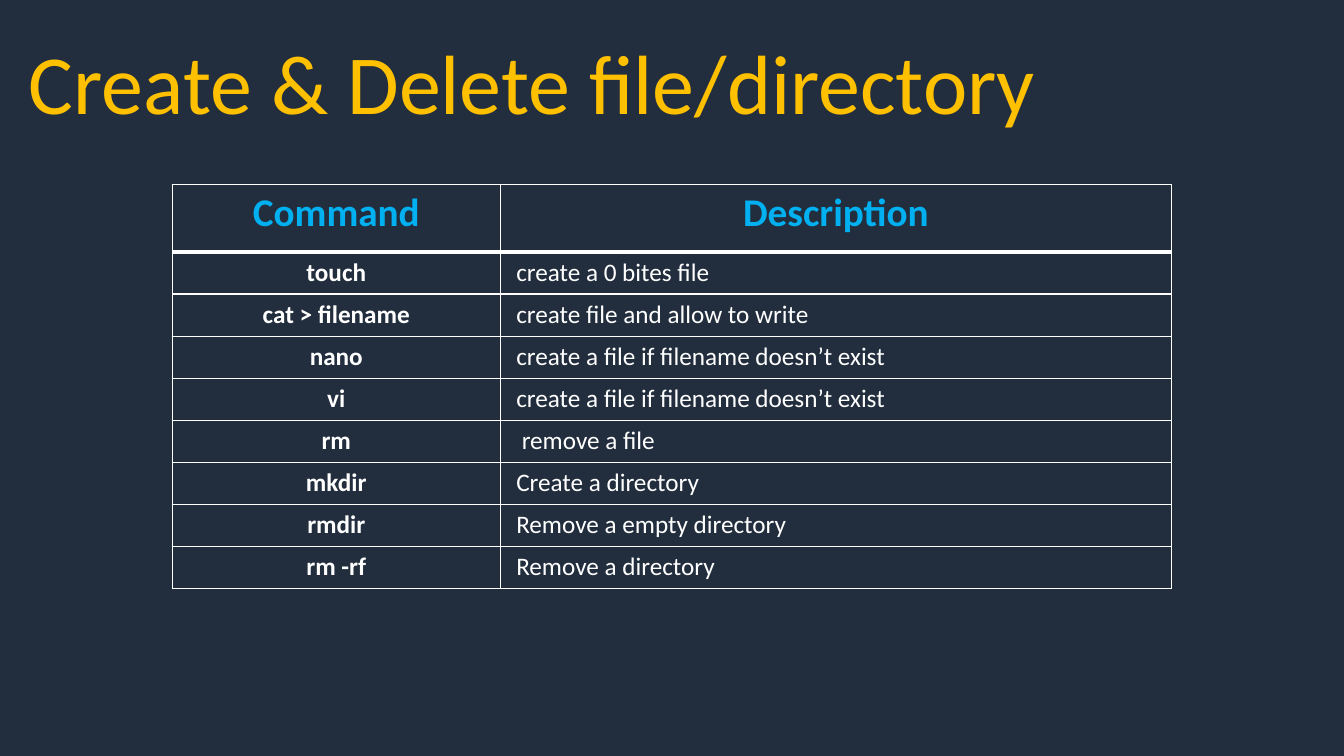
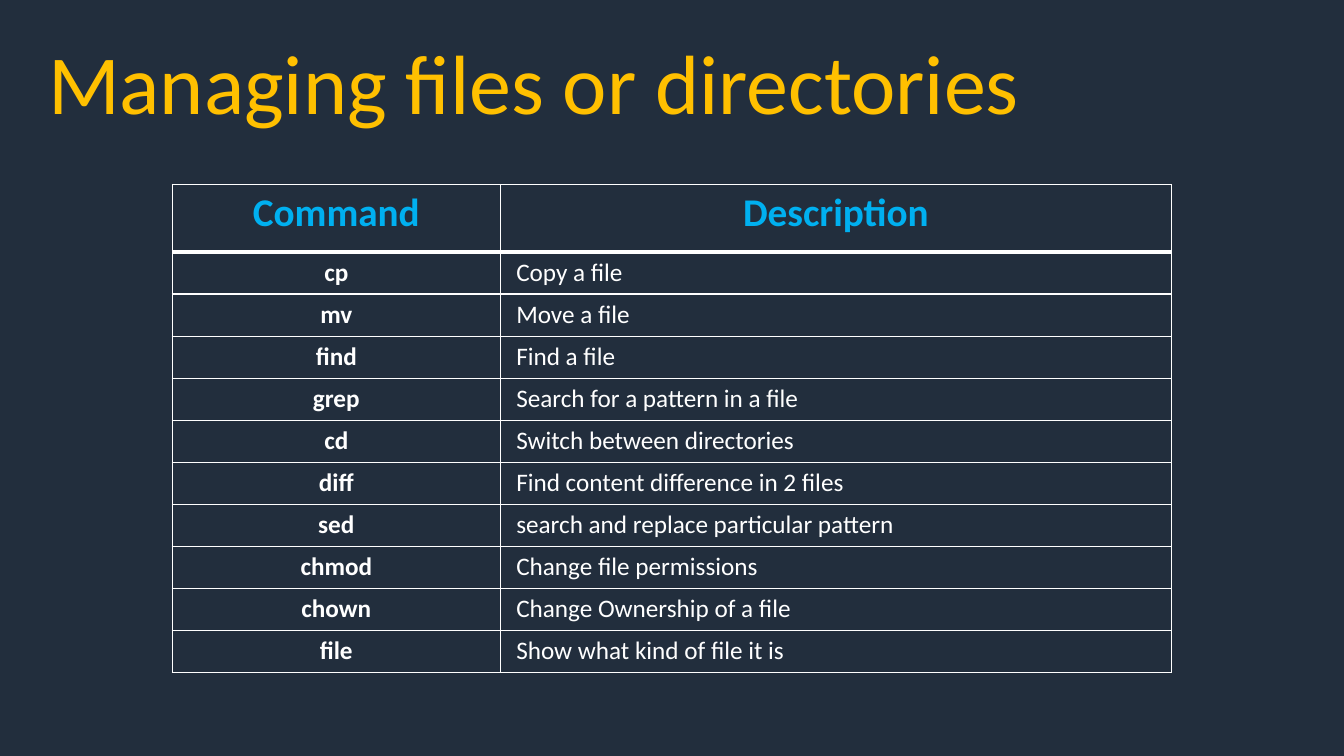
from pptx import Presentation
from pptx.dml.color import RGBColor
from pptx.enum.text import MSO_ANCHOR, MSO_AUTO_SIZE, PP_ALIGN
from pptx.oxml import parse_xml
from pptx.oxml.ns import nsdecls
from pptx.util import Cm, Pt

NAVY, GOLD, BLUE, WHITE = "222E3D", "FFC000", "00B0F0", "FFFFFF"
HEADER_HEIGHT, ROW_HEIGHT = Cm(1.7), Cm(1.06)
COLUMN_WIDTHS = [Cm(8.27), Cm(16.91)]
TEXT_INDENT = 0.4

SLIDES = [
    ("Create & Delete file/directory", 0.73, [
        ("touch", "create a 0 bites file"),
        ("cat > filename", "create file and allow to write"),
        ("nano", "create a file if filename doesn’t exist"),
        ("vi", "create a file if filename doesn’t exist"),
        ("rm", "remove a file", 0.54),
        ("mkdir", "Create a directory"),
        ("rmdir", "Remove a empty directory"),
        ("rm -rf", "Remove a directory"),
    ]),
    ("Managing files or directories", 1.21, [
        ("cp", "Copy a file"),
        ("mv", "Move a file"),
        ("find", "Find a file"),
        ("grep", "Search for a pattern in a file"),
        ("cd", "Switch between directories"),
        ("diff", "Find content difference in 2 files"),
        ("sed", "search and replace particular pattern"),
        ("chmod", "Change file permissions"),
        ("chown", "Change Ownership of a file"),
        ("file", "Show what kind of file it is"),
    ]),
]


def style(p, size, color, bold=False, align=PP_ALIGN.LEFT):
    p.alignment = align
    p.font.name = "Calibri"
    p.font.size = Pt(size)
    p.font.bold = bold
    p.font.color.rgb = RGBColor.from_string(color)


def add_borders(cell, top, bottom):
    tcPr = cell._tc.get_or_add_tcPr()
    for side, width in (("L", 1), ("R", 1), ("T", top), ("B", bottom)):
        tcPr.append(parse_xml(
            f'<a:ln{side} {nsdecls("a")} w="{Pt(width)}"><a:solidFill>'
            f'<a:srgbClr val="{WHITE}"/></a:solidFill></a:ln{side}>'))


prs = Presentation()
prs.slide_width, prs.slide_height = Cm(33.87), Cm(19.05)

fill = prs.slide_master.background.fill
fill.solid()
fill.fore_color.rgb = RGBColor.from_string(NAVY)

layout = prs.slide_layouts[5]
title = layout.placeholders[0]
title.left, title.top = Cm(0), Cm(0.64)
title.width, title.height = prs.slide_width, Cm(2.82)

for heading, indent, commands in SLIDES:
    s = prs.slides.add_slide(layout)
    tf = s.shapes.title.text_frame
    tf.text = heading
    tf.margin_left = Cm(indent)
    tf.vertical_anchor = MSO_ANCHOR.TOP
    tf.auto_size = MSO_AUTO_SIZE.NONE
    style(tf.paragraphs[0], 60, GOLD)

    rows = [("Command", "Description")] + commands
    table = s.shapes.add_table(
        len(rows), 2, Cm(4.34), Cm(4.65), sum(COLUMN_WIDTHS),
        HEADER_HEIGHT + ROW_HEIGHT * len(commands)).table
    table.horz_banding = False
    for column, width in zip(table.columns, COLUMN_WIDTHS):
        column.width = width

    for i, (command, description, *custom_indent) in enumerate(rows):
        table.rows[i].height = ROW_HEIGHT if i else HEADER_HEIGHT
        for j, text in enumerate((command, description)):
            cell = table.cell(i, j)
            add_borders(cell, 3 if i == 1 else 1, 3 if i == 0 else 1)
            cell.fill.background()
            cell.text = text
            p = cell.text_frame.paragraphs[0]
            if i == 0:
                style(p, 28, BLUE, True, PP_ALIGN.CENTER)
            elif j == 0:
                style(p, 18, WHITE, True, PP_ALIGN.CENTER)
            else:
                style(p, 18, WHITE)
                cell.margin_left = Cm(custom_indent[0] if custom_indent else TEXT_INDENT)

prs.save("out.pptx")
